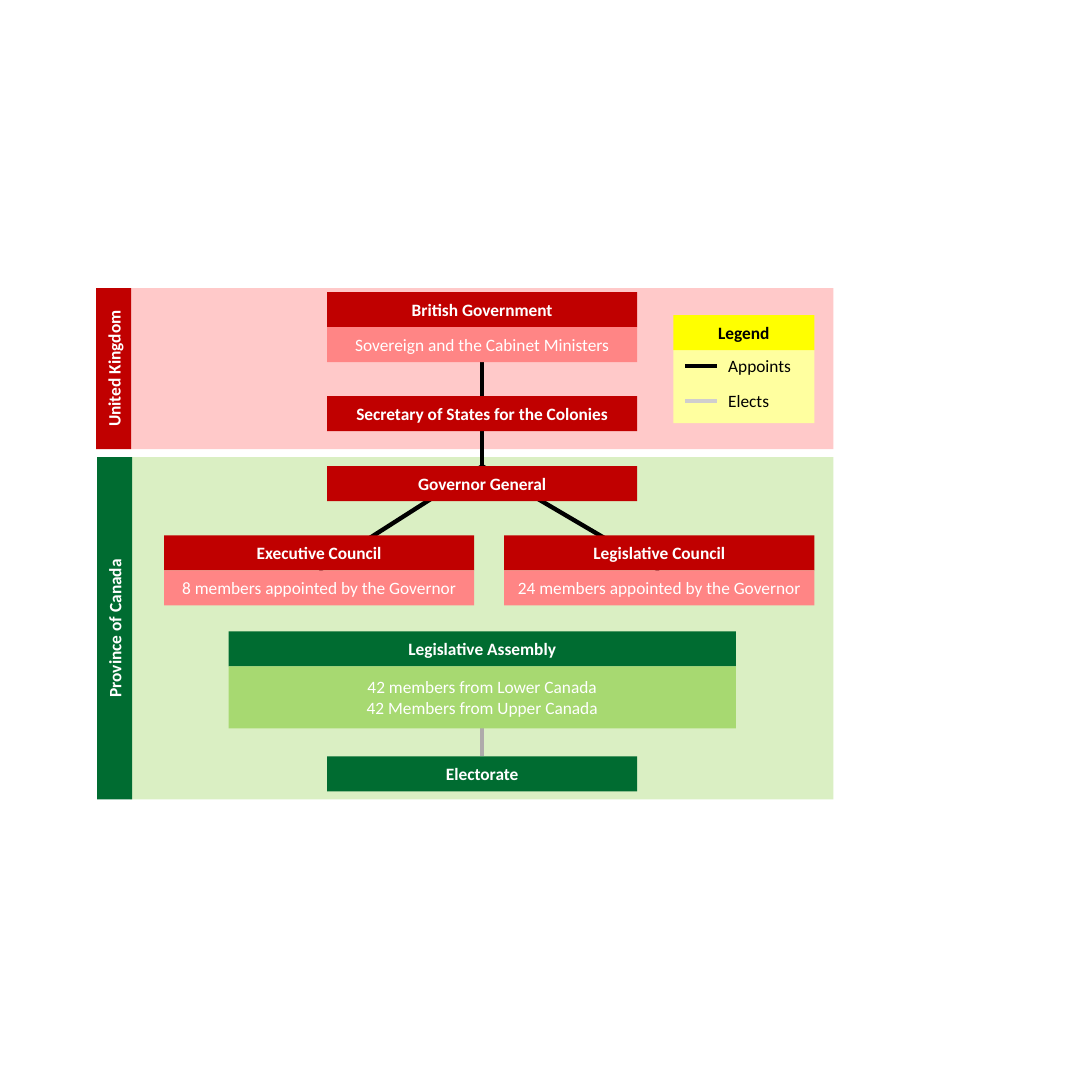
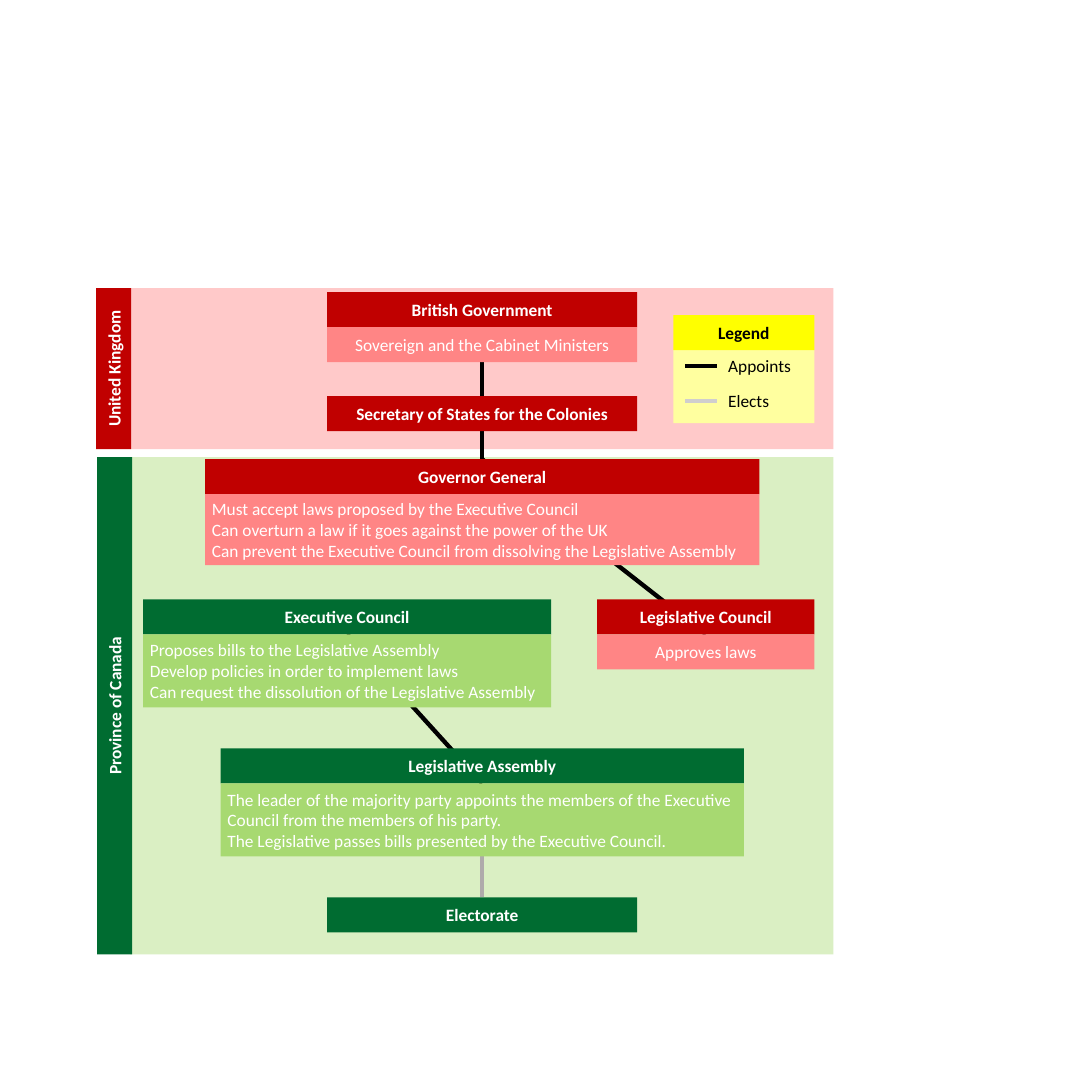
from lxml.etree import SubElement
from pptx import Presentation
from pptx.dml.color import RGBColor
from pptx.enum.shapes import MSO_CONNECTOR, MSO_SHAPE
from pptx.enum.text import MSO_ANCHOR, PP_ALIGN
from pptx.oxml.ns import qn
from pptx.util import Inches, Pt

PIXELS_PER_INCH = 69.3
COLORS = {
    "red": "C00000", "red_body": "FF8585", "red_panel": "FFC9C9",
    "green": "006C31", "green_body": "A7D971", "green_panel": "DAEFC3",
    "yellow": "FFFF00", "yellow_body": "FFFF9F",
    "white": "FFFFFF", "black": "000000",
    "elects": "AFABAB", "elects_key": "D0CECE",
}
FONT = "Calibri"
BAR = 35
BOX_WIDTH = 310
CENTER = 482
PANEL_LEFT, PANEL_WIDTH = 130, 703
UK_TOP, UK_HEIGHT = 288, 161
CANADA_TOP = 457
LEGEND_LEFT, LEGEND_TOP, LEGEND_WIDTH = 673, 315, 141
TOP_SITE, BOTTOM_SITE = 0, 2


def px(pixels):
    return Inches(pixels / PIXELS_PER_INCH)


def color(name):
    return RGBColor.from_string(COLORS[name])


def write(frame, lines, ink, bold=False, align=PP_ALIGN.LEFT):
    frame.text = "\n".join(lines)
    for paragraph in frame.paragraphs:
        paragraph.alignment = align
        paragraph.font.name = FONT
        paragraph.font.size = Pt(18)
        paragraph.font.bold = bold
        paragraph.font.color.rgb = color(ink)


def add_box(slide, left, top, width, height, fill, lines=(), ink="white",
            bold=False, align=PP_ALIGN.CENTER):
    box = slide.shapes.add_shape(
        MSO_SHAPE.RECTANGLE, px(left), px(top), px(width), px(height))
    box.shadow.inherit = False
    box.fill.solid()
    box.fill.fore_color.rgb = color(fill)
    box.line.fill.background()
    if lines:
        box.text_frame.word_wrap = True
        box.text_frame.vertical_anchor = MSO_ANCHOR.MIDDLE
        write(box.text_frame, lines, ink, bold, align)
    return box


def add_body_card(slide, left, top, width, hue, heading, lines=(),
                  body_height=BAR, align=PP_ALIGN.CENTER):
    header = add_box(slide, left, top, width, BAR, hue, [heading], bold=True)
    if not lines:
        return header, header
    body = add_box(slide, left, top + BAR, width, body_height, hue + "_body",
                   lines, align=align)
    return header, body


def add_centered_card(slide, top, width, *content, **options):
    return add_body_card(slide, CENTER - width / 2, top, width, *content, **options)


def add_line(slide, hue, start=(0, 0), end=(0, 0)):
    line = slide.shapes.add_connector(
        MSO_CONNECTOR.STRAIGHT, *map(px, start + end))
    line.line.color.rgb = color(hue)
    line.line.width = Pt(4.5)
    SubElement(line.element.spPr, qn("a:effectLst"))
    return line


def link(slide, backdrop, upper, lower, upper_site=BOTTOM_SITE,
         lower_site=TOP_SITE, hue="black"):
    line = add_line(slide, hue)
    line.begin_connect(upper, upper_site)
    line.end_connect(lower, lower_site)
    backdrop.element.addnext(line.element)


def add_region(slide, tab_left, top, height, hue, name):
    panel = add_box(slide, PANEL_LEFT, top, PANEL_WIDTH, height, hue + "_panel")
    tab = add_box(slide, tab_left + (BAR - height) / 2, top + (height - BAR) / 2,
                  height, BAR, hue, [name], bold=True)
    tab.rotation = 270
    return panel


def add_legend(slide):
    body_top = LEGEND_TOP + BAR
    add_box(slide, LEGEND_LEFT, body_top, LEGEND_WIDTH, 73, "yellow_body")
    add_box(slide, LEGEND_LEFT, LEGEND_TOP, LEGEND_WIDTH, BAR, "yellow",
            ["Legend"], "black", bold=True)
    entries = [("Appoints", "black", 110), ("Elects", "elects_key", 76)]
    for row, (meaning, hue, width) in enumerate(entries):
        row_top = body_top + 2 + row * BAR
        add_line(slide, hue, (685, row_top + 14), (717, row_top + 14))
        label = slide.shapes.add_textbox(
            px(721), px(row_top), px(width), px(39))
        label.text_frame.word_wrap = False
        write(label.text_frame, [meaning], "black")


def start_slide(presentation, canada_height):
    slide = presentation.slides.add_slide(presentation.slide_layouts[6])
    add_region(slide, 97, CANADA_TOP, canada_height, "green", "Province of Canada")
    backdrop = add_region(slide, 96, UK_TOP, UK_HEIGHT, "red", "United Kingdom")
    _, ministers = add_centered_card(
        slide, 292, BOX_WIDTH, "red", "British Government",
        ["Sovereign and the Cabinet Ministers"])
    secretary, _ = add_centered_card(
        slide, 396, BOX_WIDTH, "red", "Secretary of States for the Colonies")
    link(slide, backdrop, ministers, secretary)
    add_legend(slide)
    return slide, backdrop, secretary


def add_electorate(slide, backdrop, top, assembly_body):
    electorate, _ = add_centered_card(slide, top, BOX_WIDTH, "green", "Electorate")
    link(slide, backdrop, assembly_body, electorate, hue="elects")


def build_membership(presentation):
    slide, backdrop, secretary = start_slide(presentation, 342)
    governor, _ = add_centered_card(slide, 466, BOX_WIDTH, "red", "Governor General")
    link(slide, backdrop, secretary, governor)
    councils = [(164, "Executive Council", 8), (504, "Legislative Council", 24)]
    for left, name, seats in councils:
        council, _ = add_body_card(
            slide, left, 535, BOX_WIDTH, "red", name,
            [f"{seats} members appointed by the Governor"])
        link(slide, backdrop, governor, council, TOP_SITE, BOTTOM_SITE)
    _, members = add_centered_card(
        slide, 631, 507, "green", "Legislative Assembly",
        ["42 members from Lower Canada", "42 Members from Upper Canada"],
        body_height=62)
    add_electorate(slide, backdrop, 756, members)


def build_powers(presentation):
    slide, backdrop, secretary = start_slide(presentation, 497)
    governor, _ = add_centered_card(
        slide, 459, 554, "red", "Governor General",
        ["Must accept laws proposed by the Executive Council",
         "Can overturn a law if it goes against the power of the UK",
         "Can prevent the Executive Council from dissolving the Legislative Assembly"],
        body_height=71, align=PP_ALIGN.LEFT)
    executive, _ = add_body_card(
        slide, 143, 599, 408, "green", "Executive Council",
        ["Proposes bills to the Legislative Assembly",
         "Develop policies in order to implement laws",
         "Can request the dissolution of the Legislative Assembly"],
        body_height=73, align=PP_ALIGN.LEFT)
    council, _ = add_body_card(
        slide, 597, 599, 217, "red", "Legislative Council", ["Approves laws"])
    assembly, duties = add_centered_card(
        slide, 748, 523, "green", "Legislative Assembly",
        ["The leader of the majority party appoints the members of the Executive "
         "Council from the members of his party.",
         "The Legislative passes bills presented by the Executive Council."],
        body_height=73, align=PP_ALIGN.LEFT)
    link(slide, backdrop, secretary, governor)
    link(slide, backdrop, governor, council, TOP_SITE, BOTTOM_SITE)
    link(slide, backdrop, executive, assembly, BOTTOM_SITE, BOTTOM_SITE)
    add_electorate(slide, backdrop, 897, duties)


def main():
    presentation = Presentation()
    presentation.slide_width = presentation.slide_height = Inches(15.75)
    build_membership(presentation)
    build_powers(presentation)
    presentation.save("out.pptx")


main()
